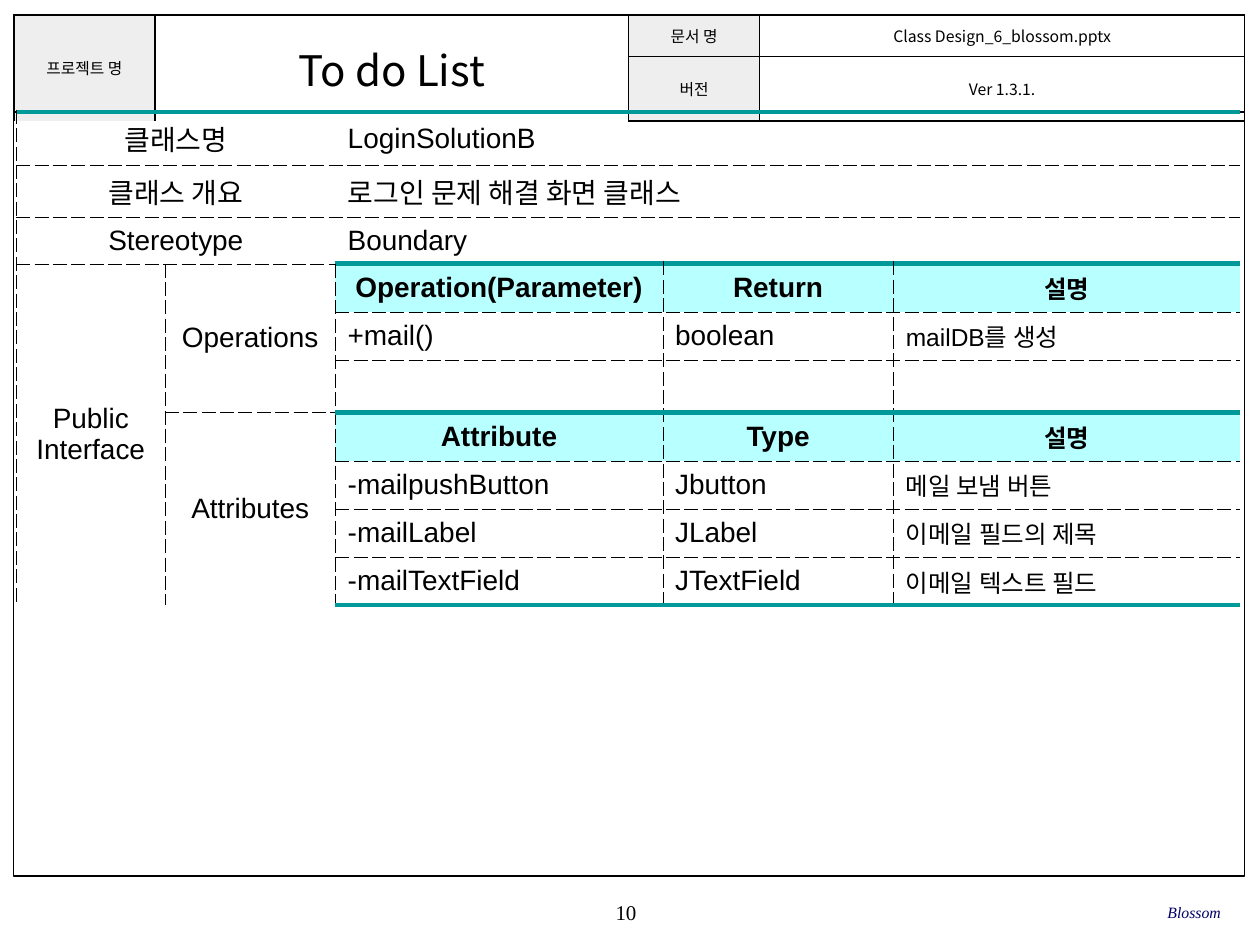
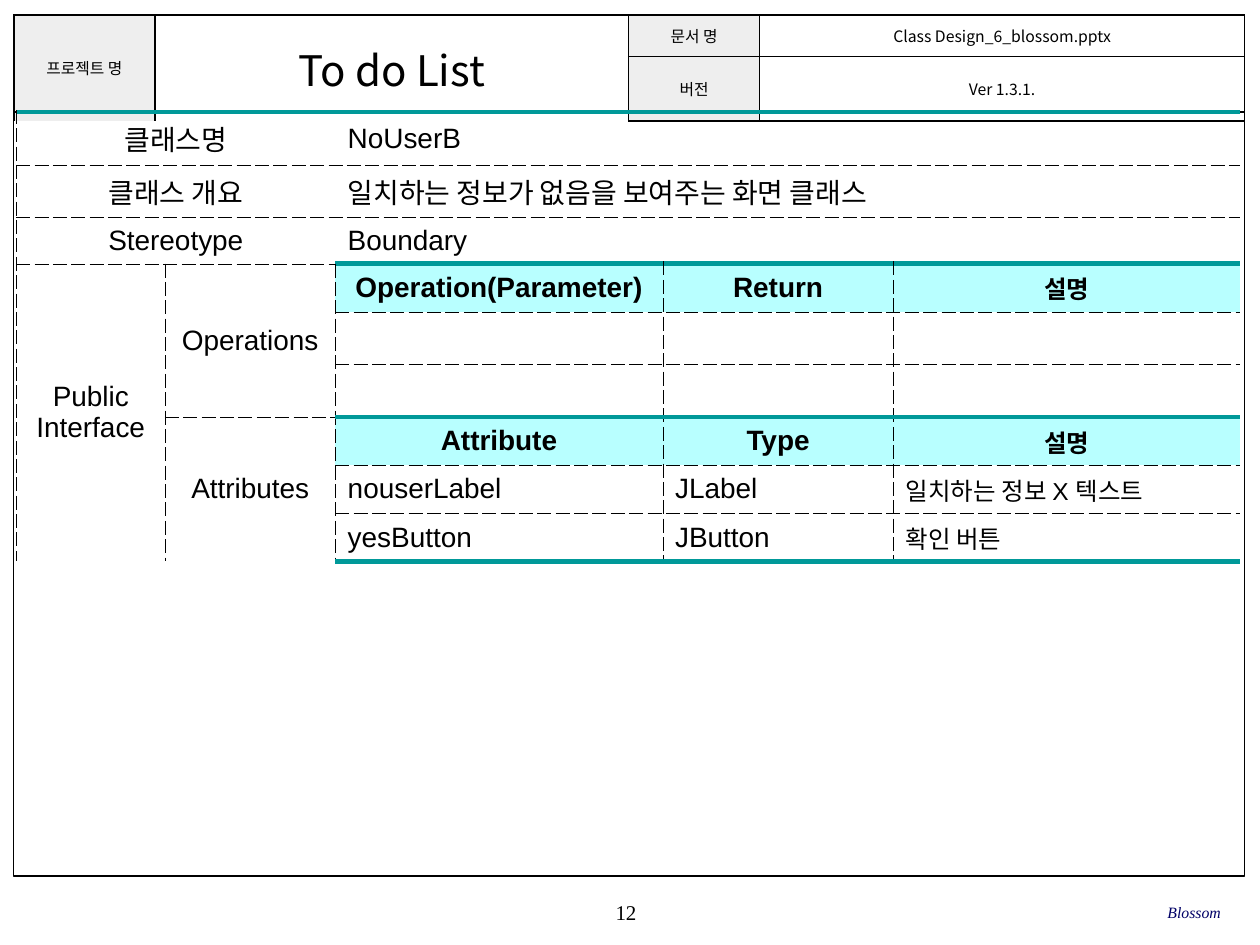
from itertools import product

from lxml import etree
from pptx import Presentation
from pptx.dml.color import RGBColor
from pptx.enum.shapes import MSO_SHAPE as Shape
from pptx.enum.text import MSO_ANCHOR as Anchor, PP_ALIGN as Align
from pptx.oxml.ns import qn
from pptx.util import Cm, Pt

COLORS = {"black": "000000", "label": "EEEEEE", "head": "B8FFFF",
          "rule": "009999", "team": "000066"}
FONTS = {"header": "Noto Sans CJK KR", "body": "Arial", "footer": "Times New Roman"}

HEADER = {"project": "프로젝트 명", "title": "To do List",
          "file": ("문서 명", "Class Design_6_blossom.pptx"),
          "version": ("버전", "Ver 1.3.1.")}
TEAM = "Blossom"
CLASS_LABELS = ("클래스명", "클래스 개요", "Stereotype")
OPERATION_HEAD = ("Operation(Parameter)", "Return", "설명")
ATTRIBUTE_HEAD = ("Attribute", "Type", "설명")
BLANK = ("", "", "")

CLASSES = [
    {"number": 10,
     "summary": ("LoginSolutionB", "로그인 문제 해결 화면 클래스", "Boundary"),
     "operations": [("+mail()", "boolean", "mailDB를 생성"), BLANK],
     "attributes": [("-mailpushButton", "Jbutton", "메일 보냄 버튼"),
                    ("-mailLabel", "JLabel", "이메일 필드의 제목"),
                    ("-mailTextField", "JTextField", "이메일 텍스트 필드")]},
    {"number": 12,
     "summary": ("NoUserB", "일치하는 정보가 없음을 보여주는 화면 클래스", "Boundary"),
     "operations": [BLANK, BLANK],
     "attributes": [("nouserLabel", "JLabel", "일치하는 정보 X 텍스트"),
                    ("yesButton", "JButton", "확인 버튼")]},
]

HEADER_WIDTHS, HEADER_HEIGHTS = (2.84, 9.55, 2.64, 9.78), (0.84, 1.3)
CLASS_WIDTHS = (3, 3.43, 6.6, 4.65, 6.99)
SUMMARY_HEIGHTS, ROW_HEIGHT, BLANK_HEIGHT = (1.06, 1.06, 0.89), 0.97, 1.06

SOLID = ("black", 1, "solid")
DASHED = ("black", 0.25, "lgDash")
THICK = ("rule", 3, "solid")
SIDES = {"L": (0, -1), "R": (0, 1), "T": (-1, 0), "B": (1, 0)}


def color(name):
    return RGBColor.from_string(COLORS[name])


def write(frame, text, font, size, align, bold=False, italic=False, ink="black"):
    frame.text = text
    for para in frame.paragraphs:
        para.alignment = align
        para.font.name, para.font.size = FONTS[font], Pt(size)
        para.font.bold, para.font.italic = bold, italic
        para.font.color.rgb = color(ink)


def set_border(cell, side, line):
    """Draw one side of a cell; line is (colour, points, dash) or None."""
    edge = etree.SubElement(cell._tc.get_or_add_tcPr(), qn(f"a:ln{side}"))
    if line is None:
        etree.SubElement(edge, qn("a:noFill"))
        return
    ink, points, dash = line
    edge.set("w", str(Pt(points)))
    fill = etree.SubElement(edge, qn("a:solidFill"))
    etree.SubElement(fill, qn("a:srgbClr"), val=COLORS[ink])
    etree.SubElement(edge, qn("a:prstDash"), val=dash)


def add_grid(page, corner, widths, heights, merges, line_at, margins):
    """Add a table; merges hold (row, column, rows, columns), line_at picks borders."""
    size = Cm(sum(widths)), Cm(sum(heights))
    table = page.shapes.add_table(len(heights), len(widths), *map(Cm, corner), *size).table
    table.first_row = table.horz_banding = False
    for column, width in zip(table.columns, widths):
        column.width = Cm(width)
    for row, height in zip(table.rows, heights):
        row.height = Cm(height)

    owner = {}
    for top, left, rows, columns in merges:
        table.cell(top, left).merge(table.cell(top + rows - 1, left + columns - 1))
        for spot in product(range(top, top + rows), range(left, left + columns)):
            owner[spot] = (top, left)

    for row, column in product(range(len(heights)), range(len(widths))):
        cell, spot = table.cell(row, column), (row, column)
        for side, (down, right) in SIDES.items():
            beyond = (row + down, column + right)
            inside = owner.get(spot, spot) == owner.get(beyond, beyond)
            set_border(cell, side, None if inside else line_at(row, column, side))
        cell.fill.background()
        cell.vertical_anchor = Anchor.MIDDLE
        cell.margin_left = cell.margin_right = Cm(margins[0])
        cell.margin_top = cell.margin_bottom = Cm(margins[1])
    return table


def paint(cell, name):
    cell.fill.solid()
    cell.fill.fore_color.rgb = color(name)


def add_header(page):
    table = add_grid(page, (0.28, 0.3), HEADER_WIDTHS, HEADER_HEIGHTS,
                     [(0, 0, 2, 1), (0, 1, 2, 1)], lambda *place: SOLID, (0.1, 0.05))
    texts = {(0, 0): HEADER["project"], (0, 1): HEADER["title"]}
    for row, pair in enumerate((HEADER["file"], HEADER["version"])):
        texts[row, 2], texts[row, 3] = pair
    for (row, column), text in texts.items():
        cell = table.cell(row, column)
        size = 24 if column == 1 else 9
        write(cell.text_frame, text, "header", size, Align.CENTER)
        if column in (0, 2):
            paint(cell, "label")


def add_frame(page):
    frame = page.shapes.add_shape(Shape.RECTANGLE, Cm(0.28), Cm(2.26), Cm(24.81), Cm(15.4))
    frame.shadow.inherit = False
    frame.fill.background()
    frame.line.color.rgb = color("black")
    frame.line.width = Pt(0.75)


def add_footer_text(page, left, width, text, **style):
    box = page.shapes.add_textbox(Cm(left), Cm(17.97), Cm(width), Cm(0.84))
    frame = box.text_frame
    frame.word_wrap = True
    frame.vertical_anchor = Anchor.MIDDLE
    frame.margin_left = frame.margin_right = frame.margin_top = frame.margin_bottom = 0
    write(frame, text, "footer", **style)


def add_class_table(page, design):
    operations = [OPERATION_HEAD, *design["operations"]]
    attributes = [ATTRIBUTE_HEAD, *design["attributes"]]
    members = operations + attributes
    first = len(CLASS_LABELS)
    second = first + len(operations)
    last = first + len(members) - 1
    heads = (first, second)

    def line_at(row, column, side):
        if side == "R" and column == len(CLASS_WIDTHS) - 1:
            return None
        if side in "TB":
            below = row + (side == "B")
            if below in (0, last + 1) or (below in heads and column >= 2):
                return THICK
        return DASHED

    heights = [*SUMMARY_HEIGHTS,
               *(BLANK_HEIGHT if member == BLANK else ROW_HEIGHT for member in members)]
    merges = [(row, *span) for row in range(first) for span in ((0, 1, 2), (2, 1, 3))]
    merges += [(first, 0, len(members), 1), (first, 1, len(operations), 1),
               (second, 1, len(attributes), 1)]
    table = add_grid(page, (0.33, 2.26), CLASS_WIDTHS, heights, merges, line_at, (0.25, 0.13))

    labels = {(row, 0): text for row, text in enumerate(CLASS_LABELS)}
    labels |= {(first, 0): "Public\nInterface", (first, 1): "Operations",
               (second, 1): "Attributes"}
    for spot, text in labels.items():
        write(table.cell(*spot).text_frame, text, "body", 16, Align.CENTER)
    for row, text in enumerate(design["summary"]):
        write(table.cell(row, 2).text_frame, text, "body", 16, Align.LEFT)

    for row, member in enumerate(members, first):
        is_head = row in heads
        for column, text in enumerate(member, 2):
            cell = table.cell(row, column)
            if is_head:
                paint(cell, "head")
            if text:
                write(cell.text_frame, text, "body", 14 if column == 4 else 16,
                      Align.CENTER if is_head else Align.LEFT, bold=is_head)


def main():
    deck = Presentation()
    deck.slide_width, deck.slide_height = Cm(25.4), Cm(19.05)
    for design in CLASSES:
        page = deck.slides.add_slide(deck.slide_layouts[6])
        add_footer_text(page, 9.98, 5.28, str(design["number"]), size=12, align=Align.CENTER)
        add_header(page)
        add_frame(page)
        add_footer_text(page, 16.84, 7.77, TEAM, size=9, align=Align.RIGHT,
                        italic=True, ink="team")
        add_class_table(page, design)
    deck.save("out.pptx")


if __name__ == "__main__":
    main()
